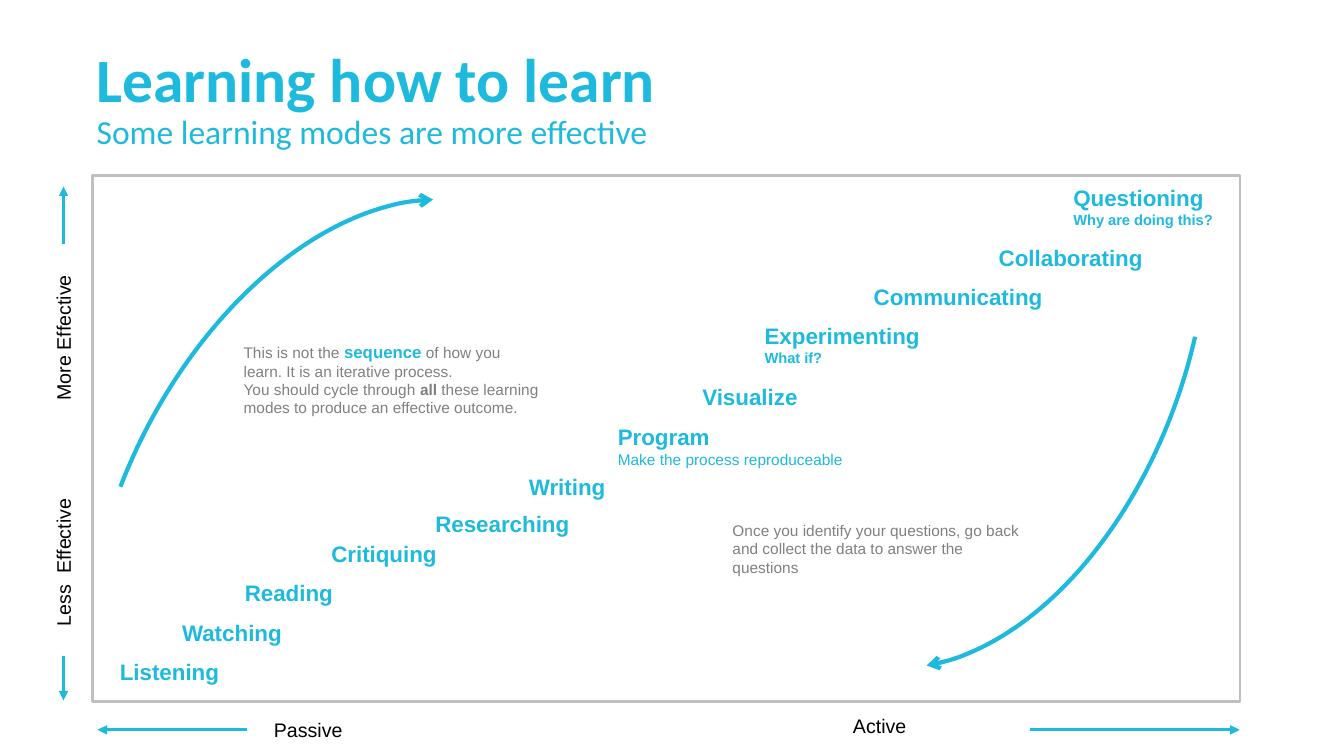
from lxml import etree
from pptx import Presentation
from pptx.dml.color import RGBColor
from pptx.enum.shapes import MSO_CONNECTOR, MSO_SHAPE
from pptx.enum.text import MSO_ANCHOR, MSO_AUTO_SIZE, PP_ALIGN
from pptx.oxml.ns import qn
from pptx.util import Cm, Pt

RECT, ARC = MSO_SHAPE.RECTANGLE, MSO_SHAPE.ARC
LINE = MSO_CONNECTOR.STRAIGHT
LEFT, MID = PP_ALIGN.LEFT, PP_ALIGN.CENTER
CENTRE = MSO_ANCHOR.MIDDLE
FIT, FIXED = MSO_AUTO_SIZE.SHAPE_TO_FIT_TEXT, MSO_AUTO_SIZE.NONE

CYAN, GREY, SILVER, BLACK = "1EBADD", "808080", "BFBFBF", "000000"

MODES = [
    ("Listening", 2.77, 16.46),
    ("Watching", 4.34, 15.47),
    ("Reading", 5.92, 14.48),
    ("Critiquing", 8.1, 13.49),
    ("Researching", 10.72, 12.73),
    ("Writing", 13.08, 11.79),
    ("Program", 15.32, 10.54, "Make the process reproduceable", 11, False),
    ("Visualize", 17.45, 9.53),
    ("Experimenting", 19.02, 8, "What if?", 10.5, True),
    ("Communicating", 21.77, 7.01),
    ("Collaborating", 24.92, 6.02),
    ("Questioning", 26.8, 4.52, "Why are doing this?", 10.5, True),
]
LABELS = [
    ("Passive", 5.41, 17.96, 0),
    ("Active", 19.81, 17.86, 0),
    ("More Effective", -0.76, 8.08, 270),
    ("Less  Effective", -0.76, 13.74, 270),
]
ARROWS = [
    (1.6, 6.15, 1.6, 4.7),
    (1.6, 16.54, 1.6, 17.65),
    (25.96, 18.39, 31.24, 18.39),
    (6.22, 18.39, 2.46, 18.39),
]
CURVES = [(-0.43, 7.87, 296.2), (15.19, 2.24, 108)]


def tint(code):
    return RGBColor.from_string(code)


def style(run, size, code, bold=False, face="Arial"):
    font = run.font
    font.name, font.size, font.bold = face, Pt(size), bold
    font.color.rgb = tint(code)


def stroke(item, code, width, head=None):
    item.line.color.rgb = tint(code)
    item.line.width = Pt(width)
    if head:
        line = item.line._get_or_add_ln()
        etree.SubElement(line, qn("a:tailEnd"), type=head)


def add_title(slide):
    title = slide.shapes.title
    title.left, title.top = Cm(2.18), Cm(0.69)
    title.width, title.height = Cm(29.21), Cm(3.68)
    frame = title.text_frame
    frame.text = "Learning how to learn \vSome learning modes are more effective"
    frame.vertical_anchor, frame.auto_size = CENTRE, FIXED
    para = frame.paragraphs[0]
    para.alignment, para.line_spacing = LEFT, 0.9
    head, sub = para.runs
    style(head, 44, CYAN, True, "Calibri")
    style(sub, 24, CYAN, False, "Calibri")


def add_text(slide, x, y, w, h, paras, align=LEFT):
    box = slide.shapes.add_textbox(Cm(x), Cm(y), Cm(w), Cm(h))
    frame = box.text_frame
    frame.word_wrap, frame.auto_size = True, FIT
    for i, parts in enumerate(paras):
        para = frame.add_paragraph() if i else frame.paragraphs[0]
        para.alignment = align
        for text, *look in parts:
            run = para.add_run()
            run.text = text
            style(run, *look)
    return box


def add_mode(slide, name, x, y, note=None, size=None, bold=None):
    paras = [[(name, 16, CYAN, True)]]
    if note:
        paras.append([(note, size, CYAN, bold)])
    add_text(slide, x, y, 6.43 if note else 5.33, 1.4 if note else 0.94, paras)


def add_label(slide, text, x, y, turn):
    box = add_text(slide, x, y, 4.72, 0.86, [[(text, 14, BLACK)]], MID)
    box.rotation = turn


def add_arrow(slide, x1, y1, x2, y2):
    arrow = slide.shapes.add_connector(LINE, Cm(x1), Cm(y1), Cm(x2), Cm(y2))
    stroke(arrow, CYAN, 2.25, "triangle")
    etree.SubElement(arrow._element.spPr, qn("a:effectLst"))


def add_shape(slide, kind, x, y, w, h):
    shape = slide.shapes.add_shape(kind, Cm(x), Cm(y), Cm(w), Cm(h))
    shape.shadow.inherit = False
    shape.fill.background()
    return shape


def add_curve(slide, x, y, turn):
    arc = add_shape(slide, ARC, x, y, 18.26, 11.46)
    arc.adjustments[0], arc.adjustments[1] = 154.25, 208.97
    arc.rotation = turn
    stroke(arc, CYAN, 3, "arrow")


def main():
    deck = Presentation()
    deck.slide_width, deck.slide_height = Cm(33.87), Cm(19.05)
    slide = deck.slides.add_slide(deck.slide_layouts[5])
    add_title(slide)
    stroke(add_shape(slide, RECT, 2.34, 4.42, 28.91, 13.26), SILVER, 2)
    for label in LABELS:
        add_label(slide, *label)
    for mode in MODES:
        add_mode(slide, *mode)
    for arrow in ARROWS:
        add_arrow(slide, *arrow)
    for curve in CURVES:
        add_curve(slide, *curve)
    add_text(slide, 5.89, 8.48, 7.98, 2.18, [
        [("This is not the ", 11, GREY), ("sequence", 12, CYAN, True),
         (" of how you learn. It is an iterative process.", 11, GREY)],
        [("You should cycle through ", 11, GREY), ("all", 11, GREY, True),
         (" these learning modes to produce an effective outcome.", 11, GREY)],
    ])
    add_text(slide, 18.21, 13, 7.98, 1.68, [
        [("Once you identify your questions, go back and collect the data "
          "to answer the questions", 11, GREY)],
    ])
    deck.save("out.pptx")


if __name__ == "__main__":
    main()
